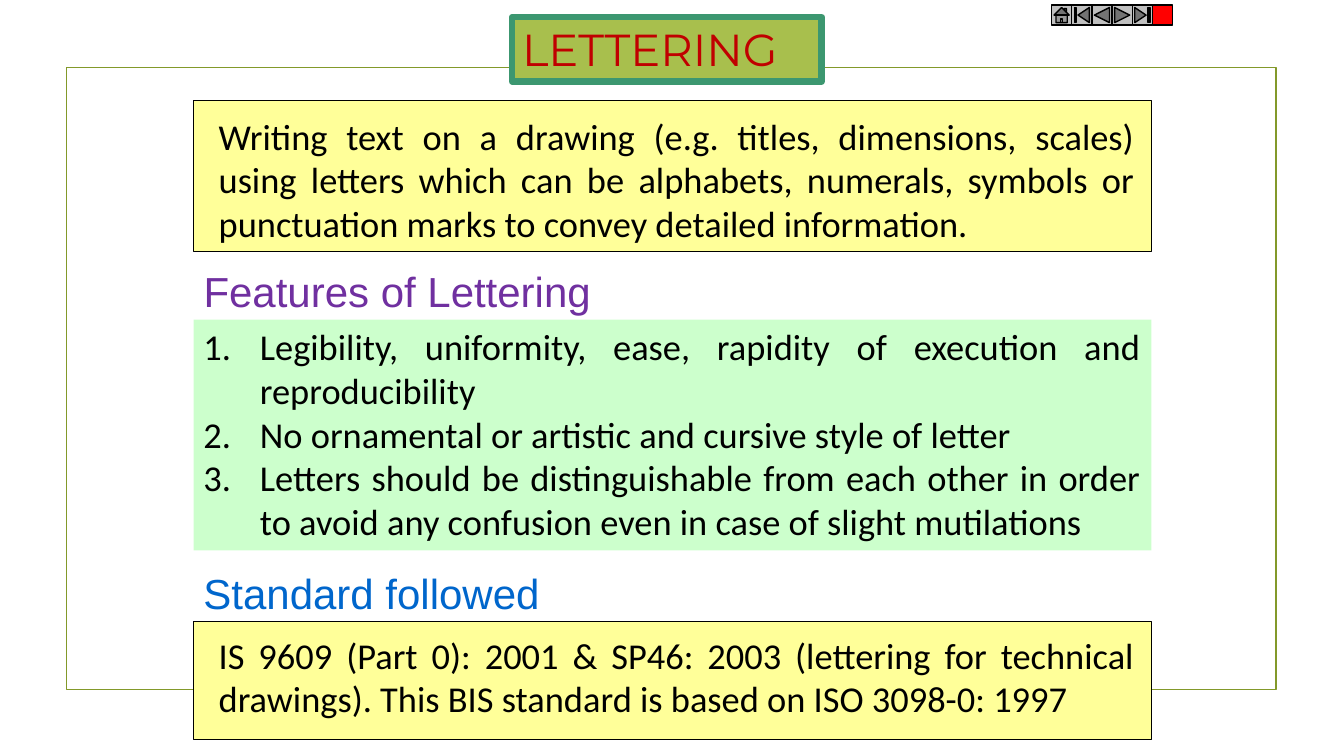
from lxml import etree
from pptx import Presentation
from pptx.dml.color import RGBColor
from pptx.enum.shapes import MSO_SHAPE
from pptx.enum.text import MSO_ANCHOR, PP_ALIGN
from pptx.oxml.ns import qn
from pptx.util import Inches, Pt

RECTANGLE = MSO_SHAPE.RECTANGLE
TOP = MSO_ANCHOR.TOP
LEFT, JUSTIFY = PP_ALIGN.LEFT, PP_ALIGN.JUSTIFY

# Content
TITLE = "LETTERING"
DEFINITION = (
    "Writing text on a drawing (e.g. titles, dimensions, scales) using letters "
    "which can be alphabets, numerals, symbols or punctuation marks to convey "
    "detailed information."
)
FEATURES_HEADING = "Features of Lettering"
FEATURES = [
    "Legibility, uniformity, ease, rapidity of execution and reproducibility",
    "No ornamental or artistic and cursive style of letter",
    "Letters should be distinguishable from each other in order to avoid any "
    "confusion even in case of slight mutilations",
]
STANDARD_HEADING = "Standard followed"
STANDARD = (
    "IS 9609 (Part 0): 2001 & SP46: 2003 (lettering for technical drawings). "
    "This BIS standard is based on ISO 3098-0: 1997"
)
COLORS = {
    "frame": "83992A", "title_fill": "A8BF4D", "title_line": "3C9770",
    "title": "C00000", "yellow": "FFFF99", "green": "CCFFCC",
    "black": "000000", "button": "C0C0C0", "red": "FF0000",
    "features": "7030A0", "standard": "0066CC",
}
BUTTONS = [
    (MSO_SHAPE.ACTION_BUTTON_HOME, "button"),
    (MSO_SHAPE.ACTION_BUTTON_BEGINNING, "button"),
    (MSO_SHAPE.ACTION_BUTTON_BACK_OR_PREVIOUS, "button"),
    (MSO_SHAPE.ACTION_BUTTON_FORWARD_OR_NEXT, "button"),
    (MSO_SHAPE.ACTION_BUTTON_END, "button"),
    (MSO_SHAPE.ACTION_BUTTON_CUSTOM, "red"),
]

# Layout in inches
PANEL_LEFT, PANEL_WIDTH = 1.92, 9.5
TEXT_LEFT, TEXT_WIDTH = 1.97, 9.39
BUTTON_LEFT, BUTTON_TOP, BUTTON_SIZE = 10.43, 0.05, 0.2

deck = Presentation()
deck.slide_width, deck.slide_height = Inches(13.33), Inches(7.5)
page = deck.slides.add_slide(deck.slide_layouts[6])


def color(name):
    return RGBColor.from_string(COLORS[name])


def add_panel(area, fill=None, line=None, line_width=0.75, kind=RECTANGLE):
    panel = page.shapes.add_shape(kind, *map(Inches, area))
    panel.shadow.inherit = False
    if fill:
        panel.fill.solid()
        panel.fill.fore_color.rgb = color(fill)
    else:
        panel.fill.background()
    if line:
        panel.line.color.rgb = color(line)
        panel.line.width = Pt(line_width)
    else:
        panel.line.fill.background()
    return panel


def add_box(area):
    return page.shapes.add_textbox(*map(Inches, area))


def write(box, texts, size=26, font="Calibri", ink="black", align=JUSTIFY,
          wrap=True, margin=0, hanging=0, numbered=False):
    frame = box.text_frame
    frame.word_wrap = wrap
    frame.vertical_anchor = TOP
    for index, text in enumerate(texts):
        para = frame.add_paragraph() if index else frame.paragraphs[0]
        para.alignment = align
        properties = para._p.get_or_add_pPr()
        properties.set("marL", str(Inches(margin)))
        properties.set("indent", str(Inches(-hanging)))
        if numbered:
            number = etree.SubElement(properties, qn("a:buAutoNum"))
            number.set("type", "arabicPeriod")
        span = para.add_run()
        span.text = text
        span.font.size = Pt(size)
        span.font.name = font
        span.font.color.rgb = color(ink)


# Page frame and title
add_panel((0.66, 0.67, 12, 6.17), line="frame", line_width=1.25)
title = add_panel((5.08, 0.17, 3.07, 0.64), "title_fill", "title_line", 4.5)
write(title, [TITLE], size=32, font="Montserrat", ink="title", align=LEFT,
      wrap=False)

# Definition and standard: yellow panel with text over it
for text, panel_top, panel_height, text_top, text_height in [
    (DEFINITION, 1, 1.5, 1.08, 1.41),
    (STANDARD, 6.17, 1.17, 6.23, 0.98),
]:
    add_panel((PANEL_LEFT, panel_top, PANEL_WIDTH, panel_height),
              "yellow", "black")
    box = add_box((TEXT_LEFT, text_top, TEXT_WIDTH, text_height))
    write(box, [text], margin=0.1)

# Navigation buttons
for index, (kind, fill) in enumerate(BUTTONS):
    left = BUTTON_LEFT + index * BUTTON_SIZE
    add_panel((left, BUTTON_TOP, BUTTON_SIZE, BUTTON_SIZE), fill, "black", 1,
              kind)

# Section headings
for text, top, width, ink in [
    (FEATURES_HEADING, 2.58, 4.08, "features"),
    (STANDARD_HEADING, 5.58, 3.56, "standard"),
]:
    heading = add_box((PANEL_LEFT, top, width, 0.61))
    write(heading, [text], size=30, font="Arial", ink=ink, align=LEFT,
          wrap=False)

# Numbered features
features = add_panel((PANEL_LEFT, 3.17, PANEL_WIDTH, 2.29), "green")
write(features, FEATURES, margin=0.56, hanging=0.56, numbered=True)

deck.save("out.pptx")
